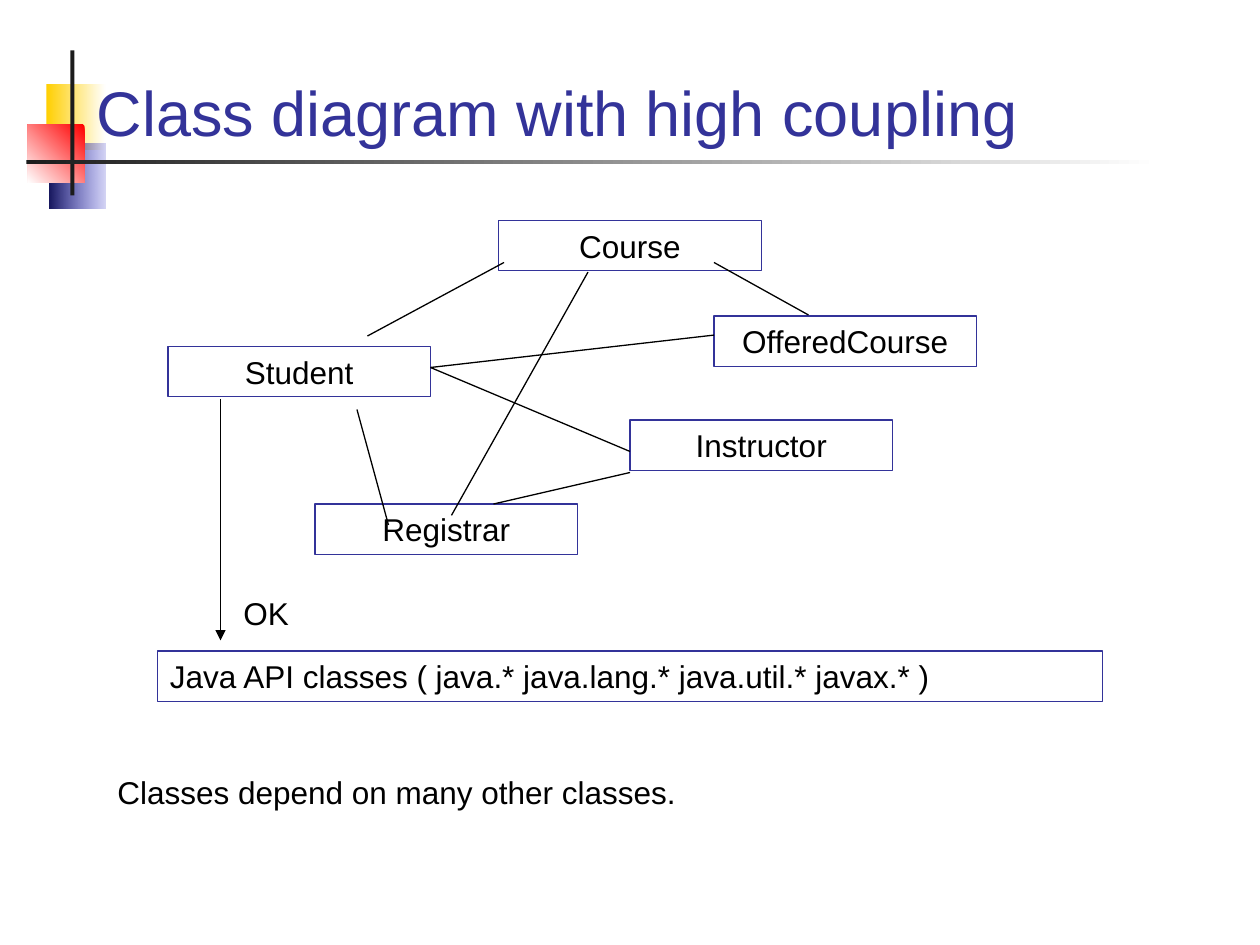
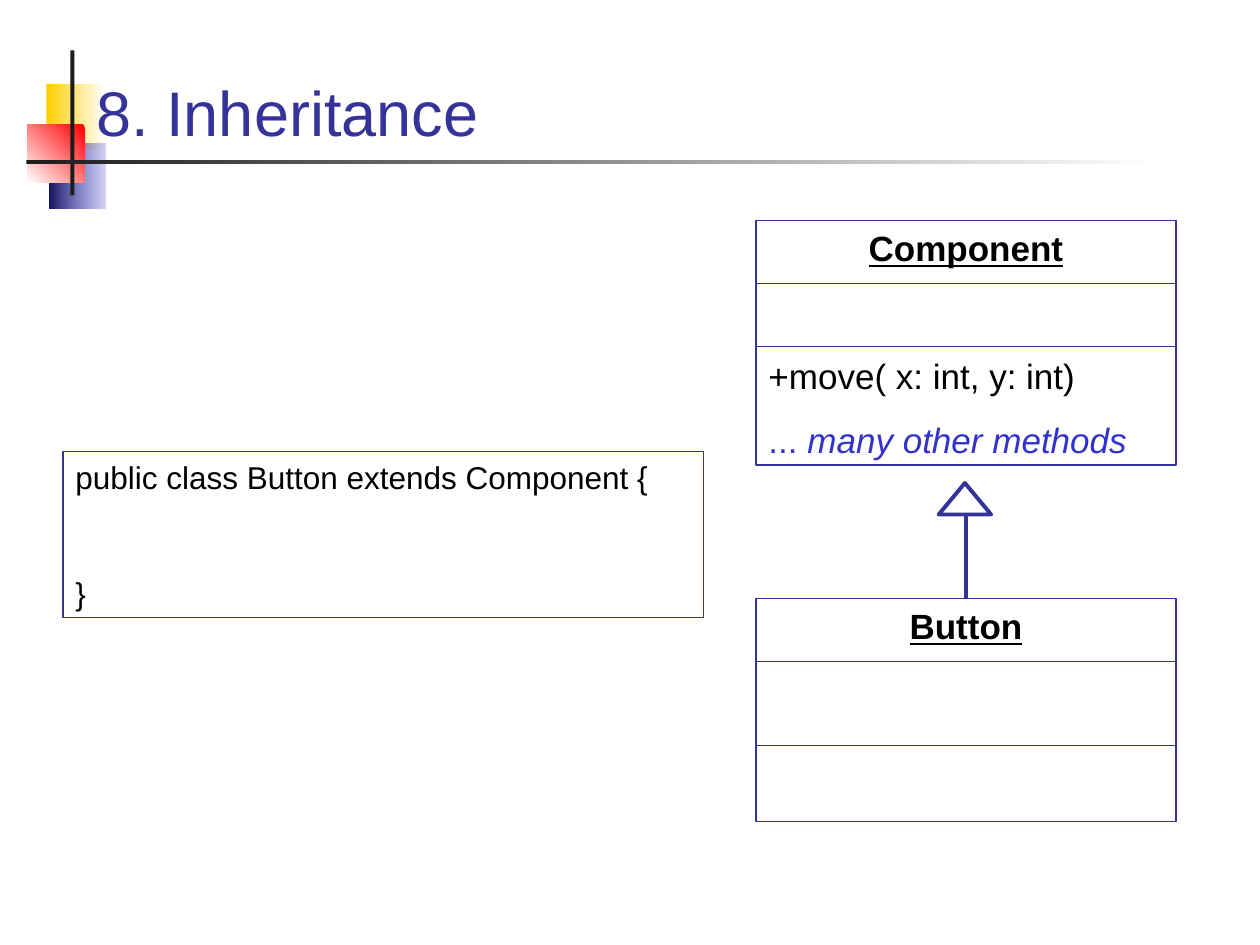
from lxml import etree
from pptx import Presentation
from pptx.dml.color import RGBColor
from pptx.enum.shapes import MSO_CONNECTOR, MSO_SHAPE
from pptx.enum.text import MSO_ANCHOR, MSO_AUTO_SIZE, PP_ALIGN
from pptx.oxml import parse_xml
from pptx.oxml.ns import nsdecls, qn
from pptx.util import Pt

RECT, TRIANGLE = MSO_SHAPE.RECTANGLE, MSO_SHAPE.ISOSCELES_TRIANGLE
STRAIGHT = MSO_CONNECTOR.STRAIGHT
TOP, BOTTOM = MSO_ANCHOR.TOP, MSO_ANCHOR.BOTTOM
LEFT, CENTER = PP_ALIGN.LEFT, PP_ALIGN.CENTER
NO_FIT = MSO_AUTO_SIZE.NONE
TITLE_ONLY = 5

COLORS = {
    "navy": "333399", "blue": "3333CC", "deep": "17175E",
    "yellow": "FFCF01", "red": "FF0000",
    "ink": "1C1C1C", "black": "000000", "white": "FFFFFF",
}
FONT = "Arial"
BOX_H = 28.8


def rgb(name):
    return RGBColor.from_string(COLORS[name])


class Deck:
    """Holds the presentation, its style and the current slide."""

    def __init__(self, width, height):
        self.prs = Presentation()
        self.prs.slide_width, self.prs.slide_height = Pt(width), Pt(height)
        self.s = None

    def slide(self, title):
        self.s = self.prs.slides.add_slide(self.prs.slide_layouts[TITLE_ONLY])
        self.ornament()
        sp = self.s.shapes.title
        sp.left, sp.top, sp.width, sp.height = Pt(48), Pt(20), Pt(624), Pt(68.6)
        # Keep the title in front of the ornament
        self.s.shapes.element.append(sp.element)
        self.text(sp, [dict(runs=[(title, dict(size=36, color="navy"))])], BOTTOM)

    def ornament(self):
        self.gradient(26.6, 48.2, 33.8, 37.4, ("yellow", 100), ("white", 100))
        self.gradient(28.1, 82, 32.4, 37.4, ("deep", 100), ("blue", 20))
        self.gradient(15.8, 71.3, 32.4, 33.1, ("red", 100), ("white", 100), 135)
        bar = self.shape(RECT, 40.3, 28.8, 2.2, 82.8)
        bar.fill.solid()
        bar.fill.fore_color.rgb = rgb("ink")
        self.gradient(15.1, 91.4, 647.3, 2.2, ("ink", 100), ("white", 100))

    def shape(self, kind, x, y, w, h, line=None, weight=0.75):
        sp = self.s.shapes.add_shape(kind, Pt(x), Pt(y), Pt(w), Pt(h))
        sp.shadow.inherit = False
        sp.fill.background()
        if line:
            sp.line.color.rgb = rgb(line)
            sp.line.width = Pt(weight)
        else:
            sp.line.fill.background()
        return sp

    def gradient(self, x, y, w, h, start, end, angle=0):
        sp = self.shape(RECT, x, y, w, h)
        stops = "".join(
            f'<a:gs pos="{pos}"><a:srgbClr val="{COLORS[color]}">'
            f'<a:alpha val="{alpha * 1000}"/></a:srgbClr></a:gs>'
            for pos, (color, alpha) in ((0, start), (100000, end)))
        fill = parse_xml(
            f'<a:gradFill {nsdecls("a")} rotWithShape="1"><a:gsLst>{stops}</a:gsLst>'
            f'<a:lin ang="{angle * 60000}" scaled="0"/></a:gradFill>')
        pr = sp.element.spPr
        pr.replace(pr.find(qn("a:noFill")), fill)

    def text(self, sp, paras, anchor=TOP):
        tf = sp.text_frame
        frame = dict(word_wrap=True, auto_size=NO_FIT, vertical_anchor=anchor,
                     margin_left=Pt(7.2), margin_right=Pt(7.2),
                     margin_top=Pt(3.6), margin_bottom=Pt(3.6))
        for name, value in frame.items():
            setattr(tf, name, value)
        for i, para in enumerate(paras):
            p = tf.add_paragraph() if i else tf.paragraphs[0]
            p.alignment = para.get("align", LEFT)
            p.space_before = Pt(para.get("before", 0))
            for words, fmt in para["runs"]:
                r = p.add_run()
                r.text = words
                look = dict(name=FONT, size=18, color="black") | fmt
                r.font.color.rgb = rgb(look.pop("color"))
                look["size"] = Pt(look["size"])
                for name, value in look.items():
                    setattr(r.font, name, value)

    def box(self, x, y, w, h, paras):
        self.text(self.shape(RECT, x, y, w, h, "navy"), paras)

    def label(self, x, y, w, words):
        sp = self.s.shapes.add_textbox(Pt(x), Pt(y), Pt(w), Pt(BOX_H))
        self.text(sp, [dict(runs=[(words, {})])])

    def line(self, x1, y1, x2, y2, color="black", weight=0.75, arrow=False):
        c = self.s.shapes.add_connector(STRAIGHT, Pt(x1), Pt(y1), Pt(x2), Pt(y2))
        c.line.color.rgb = rgb(color)
        c.line.width = Pt(weight)
        if arrow:
            etree.SubElement(c.line._get_or_add_ln(), qn("a:tailEnd"), type="triangle")
        etree.SubElement(c.element.spPr, qn("a:effectLst"))

    def uml_class(self, y, h, name, dividers, members=()):
        x, w = 432, 240
        heading = dict(size=20, bold=True, underline=True)
        self.box(x, y, w, h, [dict(align=CENTER, runs=[(name, heading)]), *members])
        for dy in dividers:
            self.line(x, y + dy, x + w, y + dy, "navy")


def coupling_slide(deck):
    deck.slide("Class diagram with high coupling")
    # Classes
    classes = {"Student": (96, 198), "Registrar": (180, 288), "Instructor": (360, 240),
               "Course": (285, 126), "OfferedCourse": (408, 180.6)}
    for name, (x, y) in classes.items():
        deck.box(x, y, 150, BOX_H, [dict(align=CENTER, runs=[(name, {})])])
    # Dependencies
    for ends in [(408, 150, 462, 180), (282, 288, 360, 270), (246, 210, 360, 258),
                 (204, 234, 222, 300), (246, 210, 408, 191.5), (210, 192, 288, 150),
                 (258, 294.5, 336, 155.5)]:
        deck.line(*ends)
    # Library classes
    api = "Java API classes ( java.* java.lang.* java.util.* javax.* )"
    deck.box(90, 372, 540, BOX_H, [dict(runs=[(api, {})])])
    deck.line(126, 228, 126, 366, arrow=True)
    deck.label(132, 336, 60, "OK")
    deck.label(60, 438, 558, "Classes depend on many other classes.")


def inheritance_slide(deck):
    deck.slide("8. Inheritance")
    # Class boxes
    note = dict(size=20, color="blue")
    deck.uml_class(126, 139.7, "Component", (36, 72), [
        dict(before=49, runs=[("+move( x: int, y: int)", dict(size=20))]),
        dict(before=12.5, runs=[("... ", note),
                                ("many other methods", note | dict(italic=True))]),
    ])
    deck.uml_class(342, 127.4, "Button", (36, 84))
    # Inheritance arrow
    deck.line(552, 342, 552, 294, "navy", 2.25)
    deck.shape(TRIANGLE, 536.4, 276, 30, 18, "navy", 2.25)
    # Code
    deck.box(36, 258, 366, 94.7, [
        dict(runs=[("public class Button extends Component {", {})]),
        dict(before=45, runs=[("}", {})]),
    ])


def main():
    deck = Deck(720, 540)
    coupling_slide(deck)
    inheritance_slide(deck)
    deck.prs.save("out.pptx")


if __name__ == "__main__":
    main()
